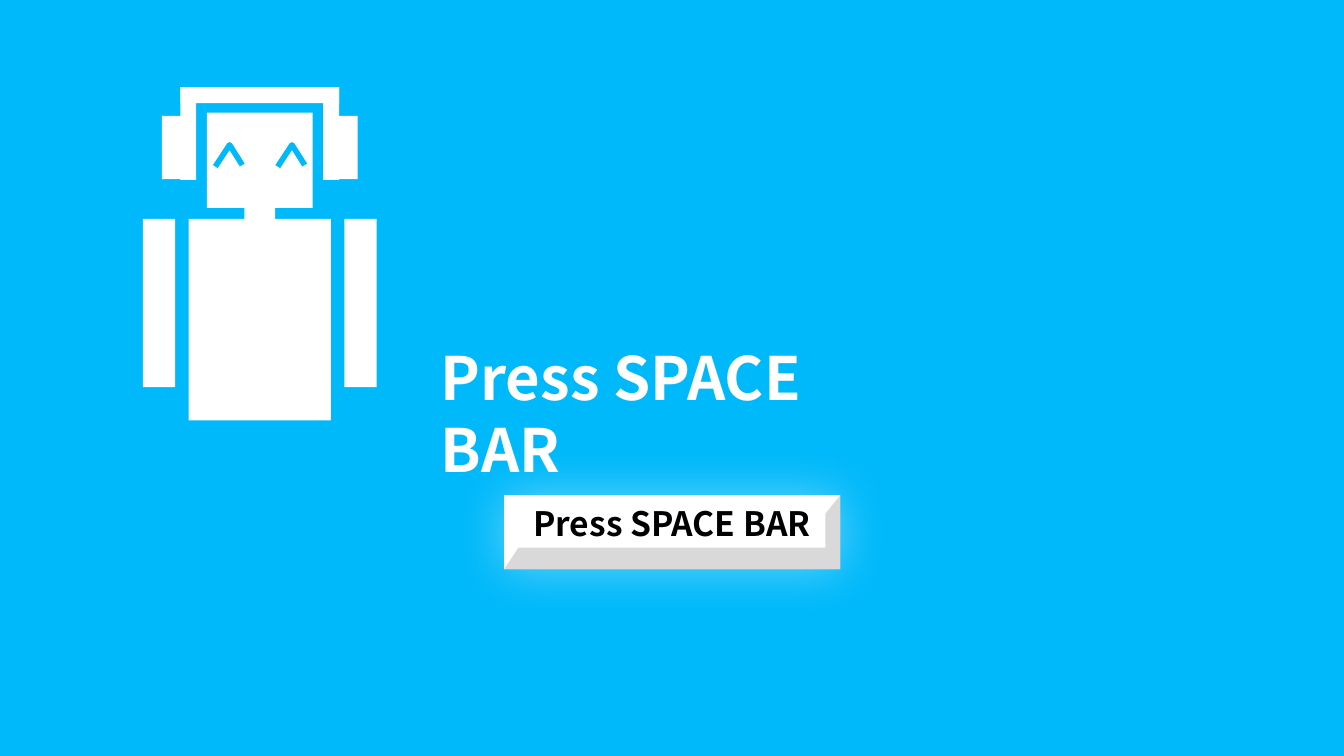
from lxml import etree
from pptx import Presentation
from pptx.dml.color import RGBColor
from pptx.enum.shapes import MSO_SHAPE
from pptx.oxml.ns import qn
from pptx.util import Cm, Pt

RECTANGLE = MSO_SHAPE.RECTANGLE
TRAPEZOID = MSO_SHAPE.TRAPEZOID
FONT = "Noto Sans CJK KR"
SKY, WHITE, GREY, BLACK = "00B9FA", "FFFFFF", "D9D9D9", "000000"
PROMPT = "Press SPACE BAR"


def paint(fill, color):
    """Make a fill solid in a hex colour."""
    fill.solid()
    fill.fore_color.rgb = RGBColor.from_string(color)


def add_block(parent, kind, left, top, width, height, color):
    """Add a plain filled shape, measured in centimetres."""
    block = parent.shapes.add_shape(kind, Cm(left), Cm(top), Cm(width), Cm(height))
    block.shadow.inherit = False
    paint(block.fill, color)
    block.line.fill.background()
    return block


def add_label(parent, left, top, width, height, size, color, wrap):
    """Add the bold prompt text."""
    box = parent.shapes.add_textbox(Cm(left), Cm(top), Cm(width), Cm(height))
    box.text_frame.word_wrap = wrap
    box.text_frame.text = PROMPT
    font = box.text_frame.paragraphs[0].runs[0].font
    font.name, font.size, font.bold = FONT, Pt(size), True
    paint(font.fill, color)
    properties = font._element
    etree.SubElement(properties, qn("a:ea")).set("typeface", FONT)


def add_glow(shape, color, blur, opacity):
    """Give a shape a soft, centred outer shadow."""
    effects = shape._element.spPr.find(qn("a:effectLst"))
    shadow = etree.SubElement(effects, qn("a:outerShdw"), blurRad=str(Pt(blur)),
                              dist="0", dir="0", algn="ctr", rotWithShape="0")
    tint = etree.SubElement(shadow, qn("a:srgbClr"), val=color)
    etree.SubElement(tint, qn("a:alpha"), val=str(opacity * 1000))


def add_space_key(page, left, top, width, height):
    """Draw the space bar key with its shaded bottom and right edges."""
    key = page.shapes.add_group_shape()
    face = add_block(key, RECTANGLE, left, top, width, height, WHITE)
    add_glow(face, WHITE, 27, 40)
    depth, side = 0.41, 0.28
    bottom = add_block(key, TRAPEZOID, left, top + height - depth, width, depth, GREY)
    bottom.adjustments[0] = 0.66
    right = add_block(key, TRAPEZOID, left + width - (side + height) / 2,
                      top + (height - side) / 2, height, side, GREY)
    right.adjustments[0] = 1.25
    right.rotation = 270
    add_label(key, left + 0.3, top + 0.03, width - 0.6, 1.02, 18, BLACK, False)


def add_eye(parent, left, top):
    """Draw one smiling eye as an open angle."""
    points = [(left + x, top + y) for x, y in ((0, 0.41), (0.27, 0), (0.51, 0.38))]
    start, *rest = [(Cm(x), Cm(y)) for x, y in points]
    builder = parent.shapes.build_freeform(*start)
    builder.add_line_segments(rest, close=False)
    eye = builder.convert_to_shape()
    eye.shadow.inherit = False
    eye.fill.background()
    eye.line.width = Pt(3)
    paint(eye.line.fill, SKY)


def add_robot(page, left, top, width):
    """Draw the robot with headphones, mirrored about its middle."""
    robot = page.shapes.add_group_shape()
    centred = ((2.49, 2.69, 3.81), (0.89, 0.58, 1.8), (0.48, 2, 1.8), (0, 3, 0.3))
    paired = ((0, 2.49, 0.61, 3.18), (0.71, 0, 0.3, 1.75), (0.36, 0.54, 0.41, 1.2))
    parts = [((width - w) / 2, y, w, h) for y, w, h in centred]
    for x, y, w, h in paired:
        parts += [(x, y, w, h), (width - x - w, y, w, h)]
    for x, y, w, h in parts:
        add_block(robot, RECTANGLE, left + x, top + y, w, h, WHITE)
    for x in (1.37, 2.55):
        add_eye(robot, left + x, top + 1.09)


def build_deck():
    """Build and save the one-slide deck."""
    deck = Presentation()
    deck.slide_width, deck.slide_height = Cm(25.4), Cm(14.29)
    page = deck.slides.add_slide(deck.slide_layouts[6])
    paint(page.background.fill, SKY)
    add_label(page, 8.08, 6.32, 9.7, 1.62, 32, WHITE, True)
    add_space_key(page, 9.53, 9.36, 6.35, 1.4)
    add_robot(page, 2.7, 1.65, 4.42)
    deck.save("out.pptx")


build_deck()
